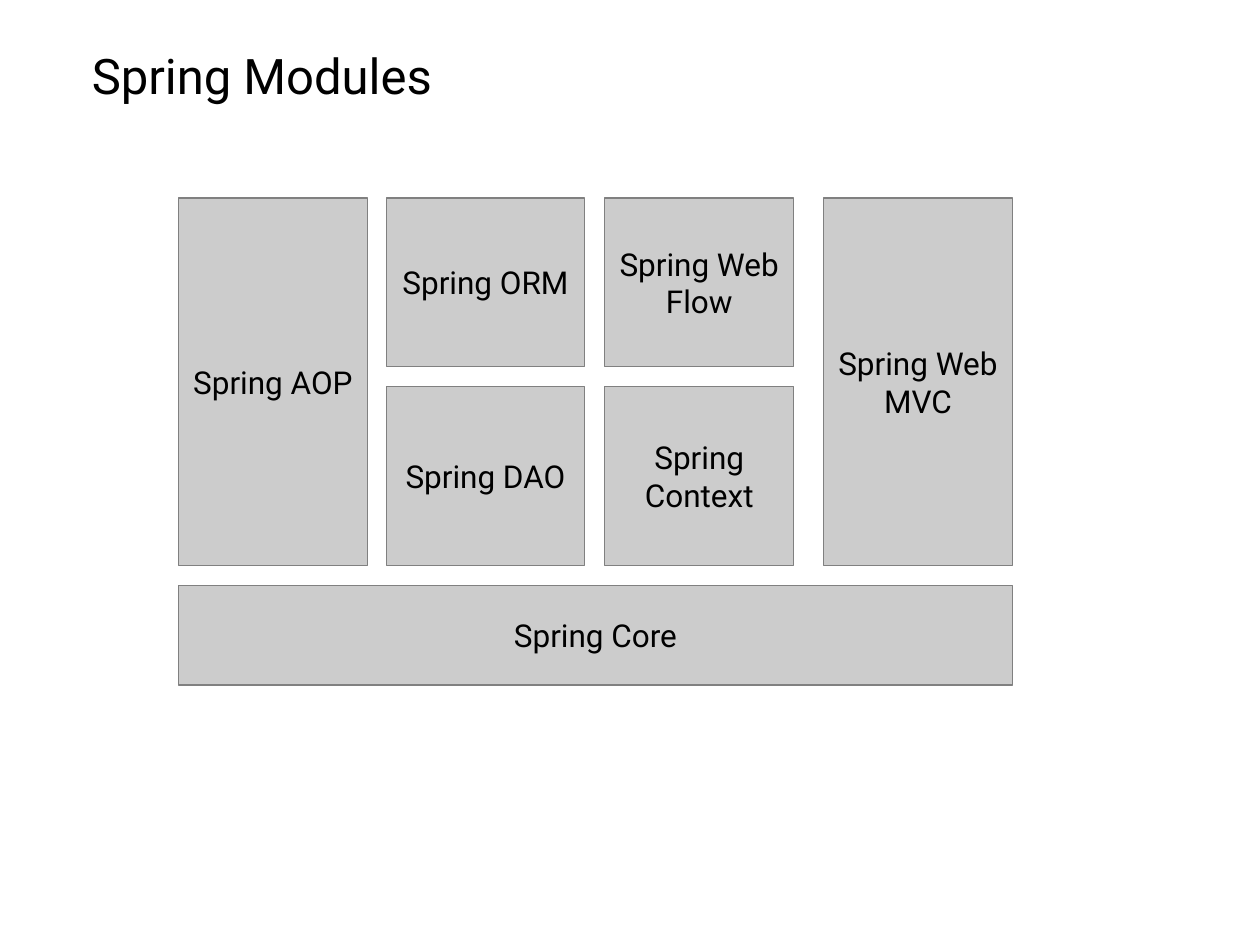
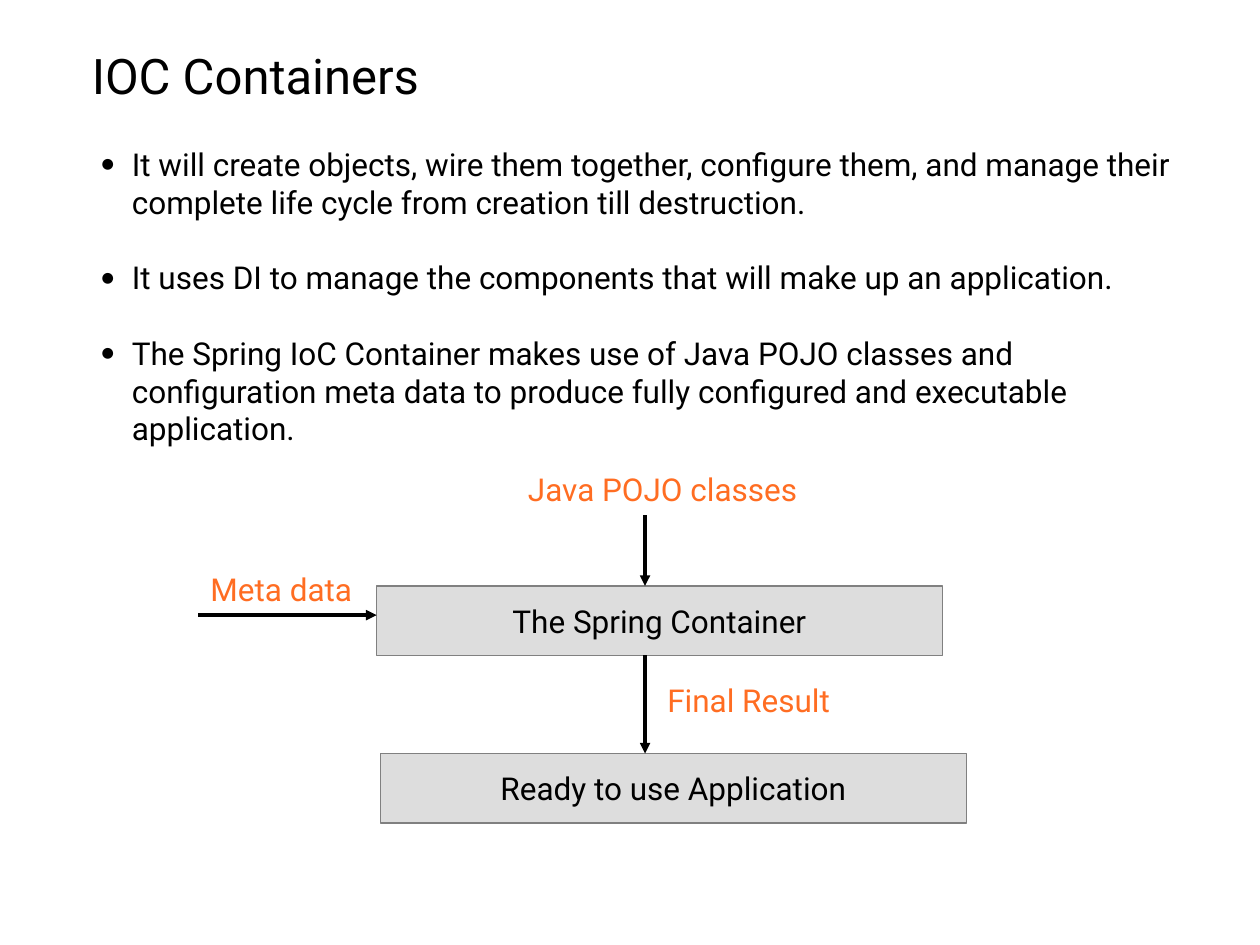
from lxml.etree import SubElement
from pptx import Presentation
from pptx.dml.color import RGBColor
from pptx.enum.shapes import MSO_CONNECTOR, MSO_SHAPE
from pptx.enum.text import MSO_ANCHOR, PP_ALIGN
from pptx.oxml.ns import qn
from pptx.util import Pt

FONT = "Roboto"
BLACK = RGBColor(0x00, 0x00, 0x00)
ORANGE = RGBColor(0xFF, 0x6D, 0x22)
BORDER = RGBColor(0x80, 0x80, 0x80)
MODULE_GREY = RGBColor(0xCC, 0xCC, 0xCC)
STEP_GREY = RGBColor(0xDD, 0xDD, 0xDD)

TITLE_SIZE, BODY_SIZE = 28, 18
BULLET_INDENT = 17.3
BULLET_GAP = 21.5

# Module grid: left and width of each column, top and height of each row
COLUMNS = [(102, 108), (221, 113), (345.6, 108), (470.6, 108)]
ROWS = [(113.2, 96.3), (220.8, 102.2), (334.6, 56.8)]
# Column span, row span (first, last) and lines of text
MODULES = [
    ((0, 0), (0, 1), ["Spring AOP"]),
    ((1, 1), (0, 0), ["Spring ORM"]),
    ((2, 2), (1, 1), ["Spring", "Context"]),
    ((1, 1), (1, 1), ["Spring DAO"]),
    ((2, 2), (0, 0), ["Spring Web", "Flow"]),
    ((3, 3), (0, 1), ["Spring Web", "MVC"]),
    ((0, 3), (2, 2), ["Spring Core"]),
]

BULLETS = [
    "It will create objects, wire them together, configure them, "
    "and manage their complete life cycle from creation till destruction.",
    "It uses DI to manage the components that will make up an application.",
    "The Spring IoC Container makes use of Java POJO classes and configuration "
    "meta data to produce fully configured and executable application.",
]

STEP_HEIGHT = 39.7
CONTAINER_TOP, APPLICATION_TOP = 334.8, 430.6
FLOW_X = 368.6


def add_run(p, text, size=BODY_SIZE, color=BLACK):
    r = p.add_run()
    r.text = text
    r.font.name = FONT
    r.font.size = Pt(size)
    r.font.color.rgb = color


def add_text_box(s, left, top, width, height):
    tf = s.shapes.add_textbox(Pt(left), Pt(top), Pt(width), Pt(height)).text_frame
    tf.word_wrap = True
    return tf


def add_title(s, text):
    add_run(add_text_box(s, 45.4, 22.5, 335, 45.4).paragraphs[0], text, TITLE_SIZE)


def add_label(s, text, left, top, width):
    tf = add_text_box(s, left, top, width, 31.7)
    add_run(tf.paragraphs[0], text, color=ORANGE)


def add_box(s, left, top, width, height, lines, fill):
    sp = s.shapes.add_shape(MSO_SHAPE.RECTANGLE, Pt(left), Pt(top), Pt(width), Pt(height))
    sp.shadow.inherit = False
    sp.fill.solid()
    sp.fill.fore_color.rgb = fill
    sp.line.color.rgb = BORDER
    sp.line.width = Pt(0)
    tf = sp.text_frame
    tf.word_wrap = False
    tf.vertical_anchor = MSO_ANCHOR.MIDDLE
    for i, line in enumerate(lines):
        p = tf.add_paragraph() if i else tf.paragraphs[0]
        p.alignment = PP_ALIGN.CENTER
        add_run(p, line)


def add_arrow(s, x1, y1, x2, y2):
    line = s.shapes.add_connector(MSO_CONNECTOR.STRAIGHT, Pt(x1), Pt(y1), Pt(x2), Pt(y2))
    line.line.color.rgb = BLACK
    line.line.width = Pt(0)
    SubElement(line.line._get_or_add_ln(), qn("a:tailEnd"), type="triangle")
    SubElement(line._element.spPr, qn("a:effectLst"))


def set_bullet(p):
    pPr = p._p.get_or_add_pPr()
    pPr.set("marL", str(Pt(BULLET_INDENT)))
    pPr.set("indent", str(-Pt(BULLET_INDENT)))
    color = SubElement(pPr, qn("a:buClr"))
    SubElement(color, qn("a:srgbClr"), val=str(BLACK))
    SubElement(pPr, qn("a:buSzPct"), val="45000")
    SubElement(pPr, qn("a:buFont"), typeface=FONT)
    SubElement(pPr, qn("a:buChar"), char="●")


def add_bullets(s, items, left, top, width, height):
    tf = add_text_box(s, left, top, width, height)
    for i, item in enumerate(items):
        p = tf.add_paragraph() if i else tf.paragraphs[0]
        set_bullet(p)
        if i:
            p.space_before = Pt(BULLET_GAP)
        add_run(p, item)


def span(tracks, first, last):
    """Return start and length of the tracks from first to last."""
    start = tracks[first][0]
    return start, sum(tracks[last]) - start


def build_modules(s):
    add_title(s, "Spring Modules")
    for columns, rows, lines in MODULES:
        left, width = span(COLUMNS, *columns)
        top, height = span(ROWS, *rows)
        add_box(s, left, top, width, height, lines, MODULE_GREY)


def build_containers(s):
    add_title(s, "IOC Containers")
    add_bullets(s, BULLETS, 51, 79.4, 629.3, 385)
    add_box(s, 215.2, CONTAINER_TOP, 323.3, STEP_HEIGHT, ["The Spring Container"], STEP_GREY)
    add_box(s, 217.4, APPLICATION_TOP, 334.8, STEP_HEIGHT, ["Ready to use Application"], STEP_GREY)
    add_arrow(s, FLOW_X, 294.5, FLOW_X, CONTAINER_TOP)
    add_arrow(s, FLOW_X, CONTAINER_TOP + STEP_HEIGHT, FLOW_X, APPLICATION_TOP)
    add_arrow(s, 113.2, 351.5, 215.2, 351.5)
    add_label(s, "Java POJO classes", 294.6, 265, 238.3)
    add_label(s, "Meta data", 113.2, 322, 108)
    add_label(s, "Final Result", 374.2, 385.4, 193)


def main():
    prs = Presentation()
    prs.slide_width, prs.slide_height = Pt(720), Pt(540)
    blank = prs.slide_layouts[6]
    for build in (build_modules, build_containers):
        build(prs.slides.add_slide(blank))
    prs.save("out.pptx")


if __name__ == "__main__":
    main()
